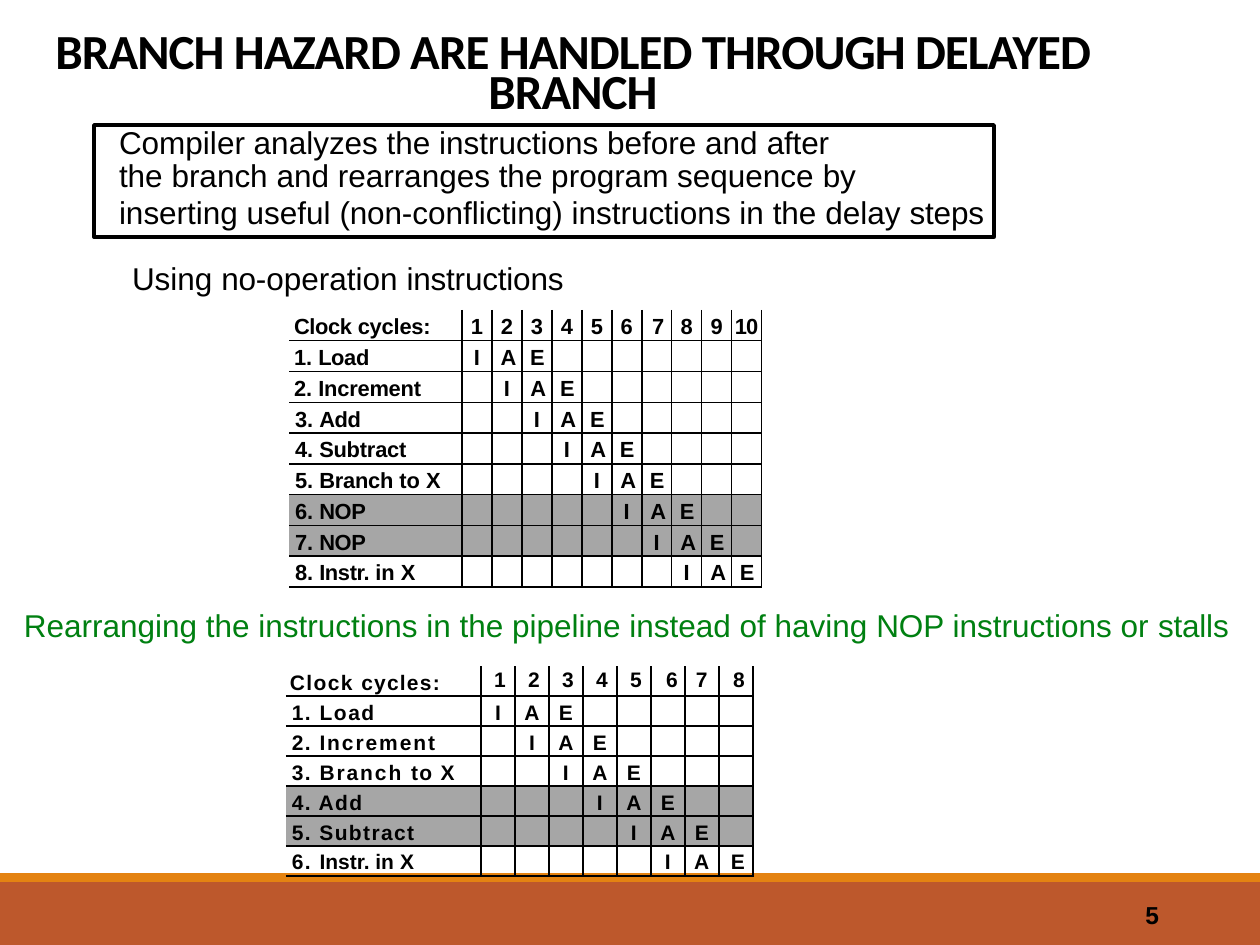
from lxml import etree
from pptx import Presentation
from pptx.dml.color import RGBColor
from pptx.enum.shapes import MSO_SHAPE
from pptx.enum.text import MSO_ANCHOR, PP_ALIGN
from pptx.oxml.ns import qn
from pptx.util import Pt

LEFT, CENTER, RIGHT = PP_ALIGN.LEFT, PP_ALIGN.CENTER, PP_ALIGN.RIGHT
TOP, MIDDLE, BOTTOM = MSO_ANCHOR.TOP, MSO_ANCHOR.MIDDLE, MSO_ANCHOR.BOTTOM
RECTANGLE = MSO_SHAPE.RECTANGLE

BLACK = RGBColor(0x00, 0x00, 0x00)
GREEN = RGBColor(0x00, 0x80, 0x11)
GRAY = RGBColor(0xA6, 0xA6, 0xA6)
RUST = RGBColor(0xBD, 0x58, 0x2C)
ORANGE = RGBColor(0xE4, 0x83, 0x12)

# Content: each span is (text, letter spacing in points)
TITLE = ["BRANCH HAZARD ARE HANDLED THROUGH DELAYED", "BRANCH"]
COMPILER_NOTE = [
    (20.2, [("Compiler analyzes the instructions before and ", 0), ("after", -0.1)]),
    (19.4, [("the branch and rearranges the program sequence ", 0), ("by", -0.2)]),
    (20.6, [("inserting useful ", 0), ("(non-", -0.1),
            ("conflicting) instructions in the delay ", 0), ("steps", -0.1)]),
]
NOP_HEADING = [("Using ", 0), ("no-", -0.1), ("operation ", 0), ("instructions", -0.1)]
REARRANGE_HEADING = [
    ("Rearranging the instructions in the pipeline instead of having NOP instructions or ", 0),
    ("stalls", -0.1),
]
PAGE_NUMBER = "5"
STAGES = ["I", "A", "E"]

NOP_PIPELINE = {
    "frame": (289, 310, 277), "label_width": 173, "cycle_width": 30, "cycles": 10,
    "size": 12.5, "line": 14.6, "header_line": 13.6, "border": 1,
    "header_top": 5, "header_spacing": -0.5, "header_indents": {7: 3},
    "stage_spacing": [-0.5, -0.5, -0.5], "stage_indents": [0, 3, 1],
    "last_align": CENTER, "last_gap": 0, "shaded": {6, 7},
    "labels": [
        (5, [("Clock ", -0.2), ("cycles:", -0.1)]),
        (5, [("1. ", 0), ("Load", -0.2)]),
        (5, [("2. ", 0), ("Increment", -0.1)]),
        (6, [("3. ", 0), ("Add", -0.2)]),
        (6, [("4. ", 0), ("Subtract", -0.1)]),
        (6, [("5. ", 0), ("Branch ", -0.1), ("to ", 0), ("X", -0.5)]),
        (6, [("6. ", 0), ("NOP", -0.2)]),
        (6, [("7. ", 0), ("NOP", -0.2)]),
        (6, [("8. ", 0), ("Instr. ", -0.2), ("in ", 0), ("X", -0.5)]),
    ],
}
REARRANGED_PIPELINE = {
    "frame": (286, 666, 210), "label_width": 195, "cycle_width": 34, "cycles": 8,
    "size": 12, "line": 14.1, "header_line": None, "border": 1.5,
    "header_top": 2, "header_spacing": 0.5,
    "header_indents": {1: 4, 2: 4, 3: 4, 4: 4, 5: 4, 6: 8},
    "stage_spacing": [-0.5, 0.7, 0.6], "stage_indents": [0, 0, 0],
    "last_align": RIGHT, "last_gap": 8, "shaded": {4, 5},
    "labels": [
        (4, [("Clock ", 0.8), ("cycles:", 0.7)]),
        (6, [("1. ", 0.8), ("Load", 0.9)]),
        (6, [("2. ", 0.8), ("Increment", 1.1)]),
        (6, [("3. ", 0.8), ("Branch ", 1.1), ("to ", 0.7), ("X", 0.6)]),
        (6, [("4. Add", 0.8)]),
        (6, [("5. Subtract", 0.8)]),
        (6, [("6. ", 0.8), ("Instr. in ", 0), ("X", 0.6)]),
    ],
}


def px(length):
    return round(length * 914400 / 126)


def write(para, spans, size, bold=False, color=BLACK, font="Arial",
          align=LEFT, indent=0, line=None):
    para.alignment = align
    if indent:
        para._p.get_or_add_pPr().set("marL", str(px(indent)))
    if line:
        para.line_spacing = Pt(line)
    for text, spacing in spans:
        span = para.add_run()
        span.text = text
        span.font.size = Pt(size)
        span.font.name = font
        span.font.bold = bold
        span.font.color.rgb = color
        if spacing:
            span.font._element.set("spc", str(round(spacing * 100)))


def prepare(frame, top=0, anchor=TOP):
    frame.word_wrap = True
    frame.margin_left = frame.margin_right = frame.margin_bottom = 0
    frame.margin_top = px(top)
    frame.vertical_anchor = anchor
    return frame


def add_text(page, place, lines, top=1, anchor=TOP, **style):
    box = page.shapes.add_textbox(*map(px, place))
    frame = prepare(box.text_frame, top, anchor)
    for index, spans in enumerate(lines):
        para = frame.add_paragraph() if index else frame.paragraphs[0]
        write(para, spans, **style)


def add_rectangle(page, place, fill=None):
    box = page.shapes.add_shape(RECTANGLE, *map(px, place))
    box.shadow.inherit = False
    box.line.fill.background()
    if fill is None:
        box.fill.background()
    else:
        box.fill.solid()
        box.fill.fore_color.rgb = fill
    return box


def set_borders(cell, width, hidden):
    properties = cell._tc.get_or_add_tcPr()
    for side in ("lnL", "lnR", "lnT", "lnB"):
        line = etree.SubElement(properties, qn(f"a:{side}"), w=str(Pt(width)))
        if side in hidden:
            etree.SubElement(line, qn("a:noFill"))
        else:
            fill = etree.SubElement(line, qn("a:solidFill"))
            etree.SubElement(fill, qn("a:srgbClr"), val=str(BLACK))


def add_pipeline(page, plan):
    left, top, height = plan["frame"]
    cycles, labels = plan["cycles"], plan["labels"]
    width = plan["label_width"] + cycles * plan["cycle_width"]
    table = page.shapes.add_table(len(labels), cycles + 1,
                                  *map(px, (left, top, width, height))).table
    table.first_row = table.horz_banding = False
    for col, column in enumerate(table.columns):
        column.width = px(plan["cycle_width"] if col else plan["label_width"])

    for row, (label_indent, label) in enumerate(labels):
        for col in range(cycles + 1):
            cell = table.cell(row, col)
            cell.margin_left = cell.margin_bottom = 0
            cell.margin_right = px(plan["last_gap"] if col == cycles else 0)
            cell.margin_top = px(4 if row or not col else plan["header_top"])
            hidden = {"lnL"} if col == 0 else set()
            set_borders(cell, plan["border"], hidden | ({"lnT"} if row == 0 else set()))
            if row in plan["shaded"]:
                cell.fill.solid()
                cell.fill.fore_color.rgb = GRAY
            else:
                cell.fill.background()

            # Instruction n enters the pipeline in clock cycle n
            para = cell.text_frame.paragraphs[0]
            align = plan["last_align"] if col == cycles else CENTER
            stage = col - row
            if col == 0:
                write(para, label, plan["size"], True, indent=label_indent, line=plan["line"])
            elif row == 0:
                write(para, [(str(col), plan["header_spacing"])], plan["size"], True,
                      align=align, indent=plan["header_indents"].get(col, 0),
                      line=plan["header_line"])
            elif 0 <= stage < len(STAGES):
                write(para, [(STAGES[stage], plan["stage_spacing"][stage])], plan["size"],
                      True, align=align, indent=plan["stage_indents"][stage],
                      line=plan["line"])
            else:
                etree.SubElement(para._p, qn("a:endParaRPr"), sz="1000")


def main():
    deck = Presentation()
    deck.slide_width, deck.slide_height = px(1260), px(945)
    page = deck.slides.add_slide(deck.slide_layouts[6])

    # Footer bands and page number
    add_rectangle(page, (0, 882, 1260, 63), RUST)
    add_rectangle(page, (0, 873, 1260, 9), ORANGE)
    add_text(page, (1023, 890, 136, 50), [[(PAGE_NUMBER, -0.5)]], top=0, anchor=MIDDLE,
             size=14, bold=True, align=RIGHT, line=16.5)

    # Title
    add_text(page, (53, 33, 1040, 86), [[(text, -0.5)] for text in TITLE], anchor=BOTTOM,
             size=28, bold=True, font="Calibri", align=CENTER, line=22.8)

    # Pipeline tables
    add_pipeline(page, NOP_PIPELINE)
    add_pipeline(page, REARRANGED_PIPELINE)

    # Framed note on the compiler
    note = add_rectangle(page, (94, 125, 900, 112))
    note.line.color.rgb = BLACK
    note.line.width = Pt(2.04)
    frame = prepare(note.text_frame)
    for index, (line, spans) in enumerate(COMPILER_NOTE):
        para = frame.add_paragraph() if index else frame.paragraphs[0]
        write(para, spans, 18, indent=25, line=line)

    # Table headings
    add_text(page, (131, 258, 437, 42), [NOP_HEADING], size=18, indent=1)
    add_text(page, (23, 605, 1208, 42), [REARRANGE_HEADING], size=18, color=GREEN, indent=1)

    deck.save("out.pptx")


if __name__ == "__main__":
    main()
